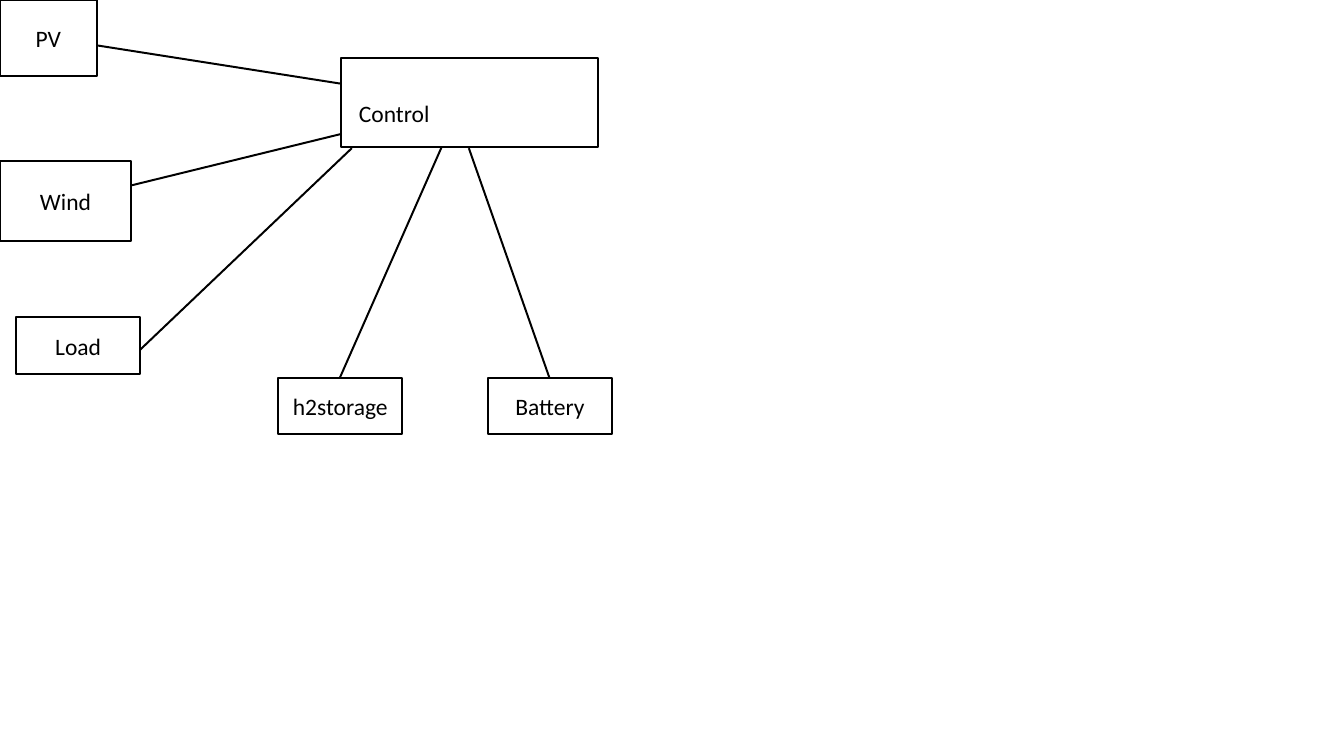
"""Builds a block diagram of a control unit wired to energy sources, load and storage."""
import pptx
import pptx.dml.color
import pptx.enum.shapes
import pptx.enum.text
import pptx.util
from dataclasses import dataclass
from lxml import etree

Inches = pptx.util.Inches


@dataclass(frozen=True)
class Theme:
    ink: pptx.dml.color.RGBColor = pptx.dml.color.RGBColor(0, 0, 0)
    font: str = "Calibri"
    text_size: float = 16.8
    line_width: float = 1.42


THEME = Theme()
SMALL_BLOCK = (1.23, 0.56)
STORAGE_TOP = 3.75
CONTROL_FRAME = (3.38, 0.58, 2.55, 0.88)
CONTROL_LABEL = ("Control", (3.54, 0.84, 0.74, 0.56))
BLOCKS = [
    ("PV", (0, 0, 0.96, 0.75)),
    ("Wind", (0, 1.6, 1.3, 0.79)),
    ("Load", (0.16, 3.15, *SMALL_BLOCK)),
    ("h2storage", (2.76, STORAGE_TOP, *SMALL_BLOCK)),
    ("Battery", (4.84, STORAGE_TOP, *SMALL_BLOCK)),
]
WIRES = [
    ((0.96, 0.45), (3.38, 0.83)),
    ((1.3, 1.84), (3.38, 1.33)),
    ((1.39, 3.47), (3.49, 1.47)),
    ((3.37, STORAGE_TOP), (4.38, 1.46)),
    ((5.45, STORAGE_TOP), (4.65, 1.47)),
]


def lengths(values):
    return [Inches(value) for value in values]


def style_line(line):
    line.color.rgb = THEME.ink
    line.width = pptx.util.Pt(THEME.line_width)


def add_block(page, place):
    block = page.shapes.add_shape(
        pptx.enum.shapes.MSO_SHAPE.RECTANGLE, *lengths(place))
    block.shadow.inherit = False
    block.fill.background()
    style_line(block.line)
    return block


def write_label(box, text):
    frame = box.text_frame
    frame.word_wrap = True
    frame.margin_left = frame.margin_right = 0
    frame.margin_top = frame.margin_bottom = 0
    frame.vertical_anchor = pptx.enum.text.MSO_ANCHOR.MIDDLE
    para = frame.paragraphs[0]
    para.alignment = pptx.enum.text.PP_ALIGN.CENTER
    span = para.add_run()
    span.text = text
    span.font.name = THEME.font
    span.font.size = pptx.util.Pt(THEME.text_size)
    span.font.color.rgb = THEME.ink


def add_wire(page, start, end):
    wire = page.shapes.add_connector(
        pptx.enum.shapes.MSO_CONNECTOR.STRAIGHT, *lengths(start + end))
    style_line(wire.line)
    etree.SubElement(wire._element.spPr, pptx.oxml.ns.qn("a:effectLst"))


deck = pptx.Presentation()
deck.slide_width, deck.slide_height = lengths((13.33, 7.5))
page = deck.slides.add_slide(deck.slide_layouts.get_by_name("Blank"))

add_block(page, CONTROL_FRAME)
for name, place in BLOCKS:
    write_label(add_block(page, place), name)
for start, end in WIRES:
    add_wire(page, start, end)
control_name, control_place = CONTROL_LABEL
write_label(page.shapes.add_textbox(*lengths(control_place)), control_name)

deck.save("out.pptx")
